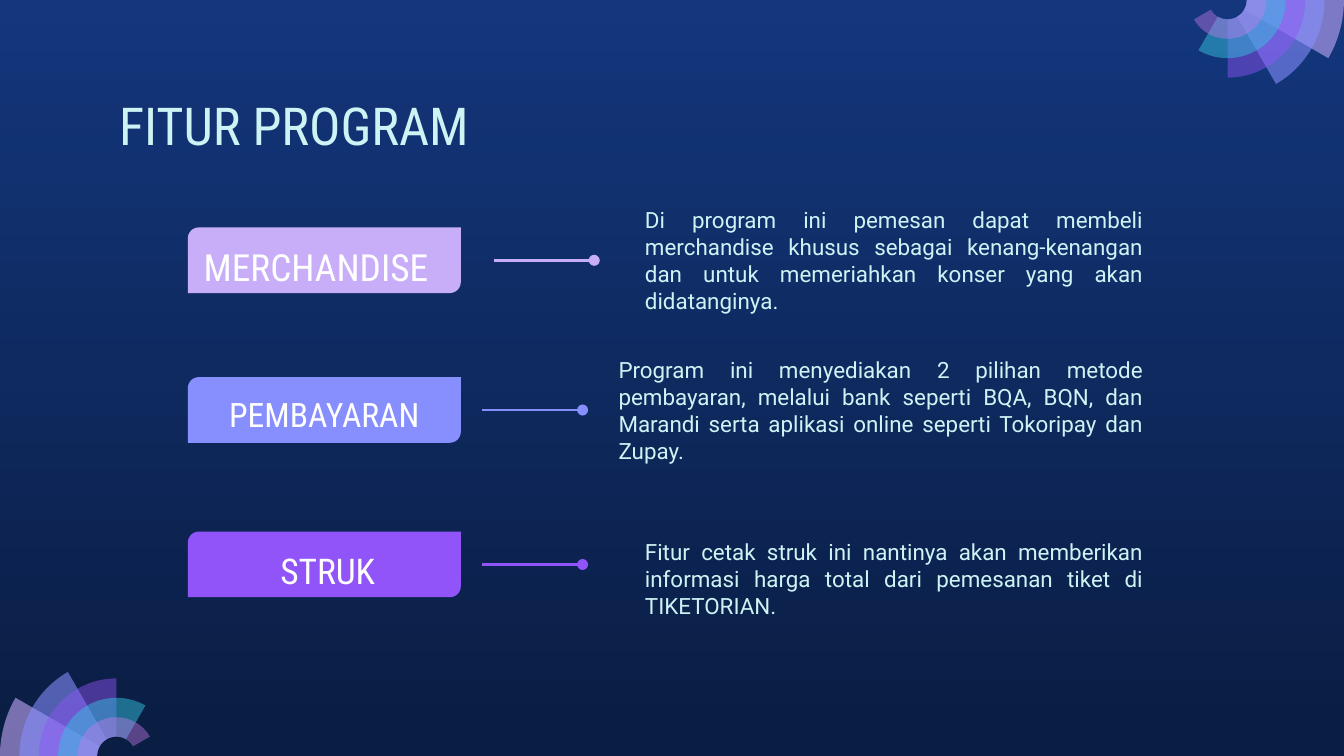
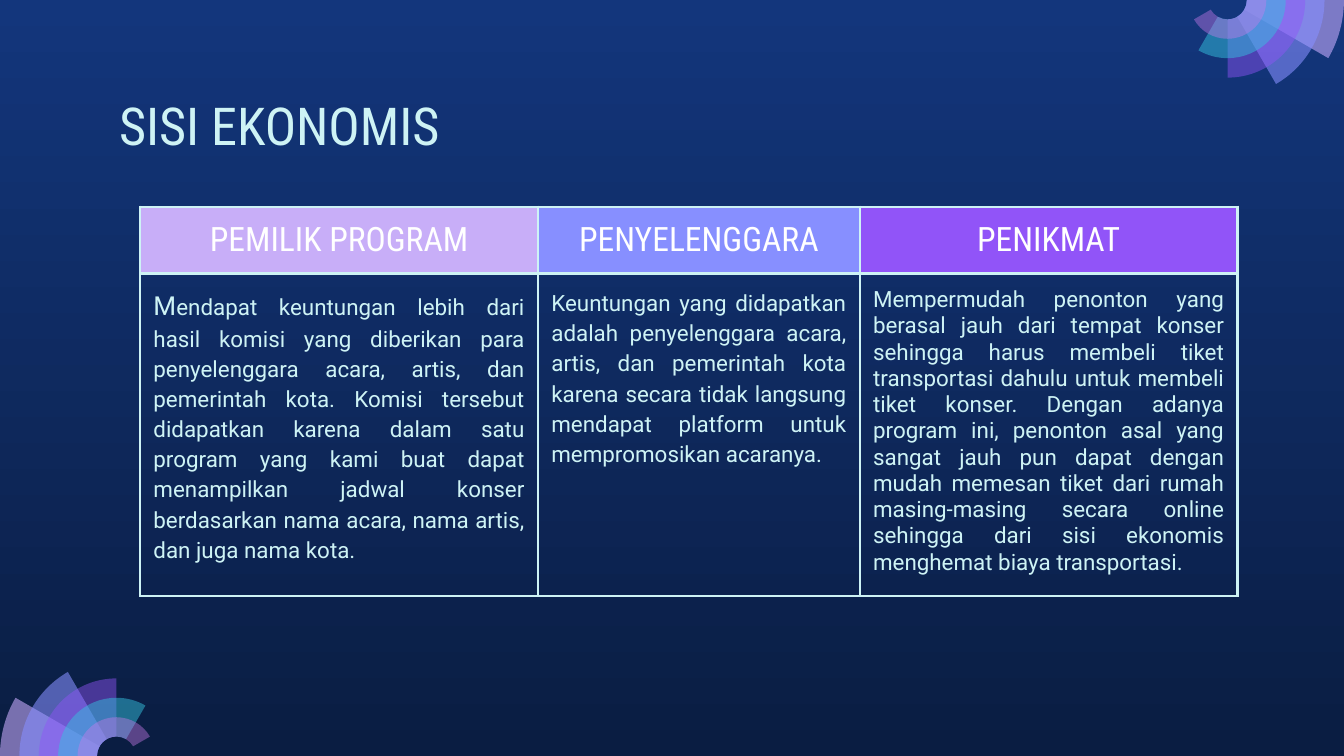
import math
from dataclasses import dataclass

import pptx
import pptx.dml.color
import pptx.enum.shapes
import pptx.enum.text
import pptx.oxml
import pptx.oxml.ns
import pptx.util

Cm = pptx.util.Cm
Pt = pptx.util.Pt
ALIGN = pptx.enum.text.PP_ALIGN


@dataclass(frozen=True)
class Theme:
    sky_top: str = "13367C"
    sky_bottom: str = "0A1D42"
    ice: str = "CEF3F5"
    white: str = "FFFFFF"
    lilac: str = "C8AEF8"
    periwinkle: str = "878FFF"
    violet: str = "9154F8"
    head_font: str = "Roboto Condensed"
    body_font: str = "Roboto"
    title_size: int = 28
    head_size: int = 18
    body_size: int = 12
    line_width: float = 1.5


THEME = Theme()

# Content
FEATURES_TITLE = "FITUR PROGRAM"
FEATURES = [
    {"name": "MERCHANDISE", "size": 20, "color": THEME.lilac, "top": 4.3,
     "label": (3.55, 4.85), "line_left": 9.33, "body_top": 4.1, "indent": 0.75,
     "text": "Di program ini pemesan dapat membeli merchandise khusus sebagai "
             "kenang-kenangan dan untuk memeriahkan konser yang akan didatanginya."},
    {"name": "PEMBAYARAN", "size": 18, "color": THEME.periwinkle, "top": 7.13,
     "label": (3.55, 5.16), "line_left": 9.11, "body_top": 6.94, "indent": 0.25,
     "text": "Program ini menyediakan 2 pilihan metode pembayaran, melalui bank "
             "seperti BQA, BQN, dan Marandi serta aplikasi online seperti "
             "Tokoripay dan Zupay."},
    {"name": "STRUK", "size": 19, "color": THEME.violet, "top": 10.05,
     "label": (4, 4.39), "line_left": 9.11, "body_top": 10.12, "indent": 0.75,
     "text": "Fitur cetak struk ini nantinya akan memberikan informasi harga "
             "total dari pemesanan tiket di TIKETORIAN."},
]

ECONOMY_TITLE = "SISI EKONOMIS"
# Each body is a list of (text, size) runs
ECONOMY = [
    {"head": "PEMILIK PROGRAM", "color": THEME.lilac, "width": 7.52, "spacing": 1.15,
     "body": [("M", 14),
              ("endapat keuntungan lebih dari hasil komisi yang diberikan para "
               "penyelenggara acara, artis, dan pemerintah kota. Komisi tersebut "
               "didapatkan karena dalam satu program yang kami buat dapat "
               "menampilkan jadwal konser berdasarkan nama acara, nama artis, "
               "dan juga nama kota.", THEME.body_size)]},
    {"head": "PENYELENGGARA", "color": THEME.periwinkle, "width": 6.08, "spacing": 1.15,
     "body": [("Keuntungan yang didapatkan adalah penyelenggara acara, artis, dan "
               "pemerintah kota karena secara tidak langsung mendapat platform "
               "untuk mempromosikan acaranya.", THEME.body_size)]},
    {"head": "PENIKMAT", "color": THEME.violet, "width": 7.14, "spacing": None,
     "body": [("Mempermudah penonton yang berasal jauh dari tempat konser sehingga "
               "harus membeli tiket transportasi dahulu untuk membeli tiket konser. "
               "Dengan adanya program ini, penonton asal yang sangat jauh pun dapat "
               "dengan mudah memesan tiket dari rumah masing-masing secara online "
               "sehingga dari sisi ekonomis menghemat biaya transportasi.",
               THEME.body_size)]},
]

# Layout in centimetres
PAGE_WIDTH, PAGE_HEIGHT = 25.4, 14.29
PADDING = 0.25
TAB_LEFT, TAB_WIDTH, TAB_HEIGHT = 3.55, 5.16, 1.24
LABEL_HEIGHT = 1.09
LINE_LENGTH = 1.9
BODY_LEFT, BODY_WIDTH, BODY_HEIGHT = 11.44, 10.92, 1.63
BODY_RIGHT_INDENT = 0.75
TABLE_LEFT, TABLE_TOP = 2.65, 3.91
ROW_HEIGHTS = (1.24, 5.95)

# Corner fans: petals as (colour, opacity in percent), outermost first
PETALS = [("C8ACFD", 58), ("878FFF", 58), ("9154F8", 46), ("35C2DF", 49), ("CA7BEB", 42)]
FAN_RADIUS = 2.2
PETAL_SWEEP = 30
# Fan centre and start angle in degrees
FANS = [(FAN_RADIUS, PAGE_HEIGHT, 180), (PAGE_WIDTH - FAN_RADIUS, 0, 0)]


def rgb(color):
    return pptx.dml.color.RGBColor.from_string(color)


def make_xml(tag, content="", **attributes):
    listed = "".join(f' {key}="{value}"' for key, value in attributes.items())
    return pptx.oxml.parse_xml(
        f'<a:{tag} {pptx.oxml.ns.nsdecls("a")}{listed}>{content}</a:{tag}>')


def add_spans(para, runs, font, color):
    for text, size in runs:
        span = para.add_run()
        span.text = text
        span.font.name = font
        span.font.size = Pt(size)
        span.font.color.rgb = rgb(color)


def set_padding(target, left=PADDING, right=PADDING):
    target.margin_left, target.margin_right = Cm(left), Cm(right)
    target.margin_top = target.margin_bottom = Cm(PADDING)


def add_text(page, place, text, size, font, color, align=ALIGN.LEFT,
             left=PADDING, right=PADDING):
    box = page.shapes.add_textbox(*map(Cm, place))
    frame = box.text_frame
    frame.word_wrap = True
    set_padding(frame, left, right)
    para = frame.paragraphs[0]
    para.alignment = align
    add_spans(para, [(text, size)], font, color)
    return frame


def fill_plain(shape, color):
    shape.shadow.inherit = False
    shape.fill.solid()
    shape.fill.fore_color.rgb = rgb(color)
    shape.line.fill.background()


# Shared page parts
def arc_curves(center, radius, stops):
    """Bezier curves (two handles and an end) through the angles in stops."""
    def point(angle, pull=0):
        cos, sin = math.cos(angle), math.sin(angle)
        return (Cm(center[0] + radius * (cos - pull * sin)),
                Cm(center[1] + radius * (sin + pull * cos)))

    angles = [math.radians(stop) for stop in stops]
    curves = []
    for begin, end in zip(angles, angles[1:]):
        pull = 4 / 3 * math.tan((end - begin) / 4)
        curves.append((point(begin, pull), point(end, -pull), point(end)))
    return point(angles[0]), curves


def add_petal(group, center, inner, outer, stops, color, opacity):
    first, outer_curves = arc_curves(center, outer, stops)
    turn, inner_curves = arc_curves(center, inner, stops[::-1])
    edges = [*outer_curves, (turn,), *inner_curves]
    builder = group.shapes.build_freeform(*first)
    builder.add_line_segments([edge[-1] for edge in edges], close=True)
    petal = builder.convert_to_shape()
    fill_plain(petal, color)

    # Bend the arc edges; the radial edges stay straight
    properties = petal._element.spPr
    for segment, edge in zip(properties.xpath(".//a:lnTo"), edges):
        if len(edge) == 3:
            points = "".join(f'<a:pt x="{x - petal.left}" y="{y - petal.top}"/>'
                             for x, y in edge)
            segment.getparent().replace(segment, make_xml("cubicBezTo", points))
    tint = properties.xpath("./a:solidFill/a:srgbClr")[0]
    tint.append(make_xml("alpha", val=opacity * 1000))


def add_fan(page, center_x, center_y, start):
    group = page.shapes.add_group_shape()
    step = FAN_RADIUS / (len(PETALS) + 1)
    for index, (color, opacity) in enumerate(PETALS):
        sweep = PETAL_SWEEP * (index + 1)
        stops = [start + angle for angle in (*range(0, sweep, 90), sweep)]
        add_petal(group, (center_x, center_y), step, FAN_RADIUS - step * index,
                  stops, color, opacity)


def add_page(deck, title):
    page = deck.slides.add_slide(deck.slide_layouts[6])
    fill = page.background.fill
    fill.gradient()
    fill.gradient_angle = 270
    for position, (stop, color) in enumerate(
            zip(fill.gradient_stops, (THEME.sky_top, THEME.sky_bottom))):
        stop.position = position
        stop.color.rgb = rgb(color)
    for fan in FANS:
        add_fan(page, *fan)
    add_text(page, (2, 1.51, 21.41, 1.6), title, THEME.title_size,
             THEME.head_font, THEME.ice)
    return page


# Feature rows
def add_feature(page, feature):
    top, color = feature["top"], feature["color"]
    tab = page.shapes.add_shape(
        pptx.enum.shapes.MSO_SHAPE.ROUND_2_DIAG_RECTANGLE,
        Cm(TAB_LEFT), Cm(top), Cm(TAB_WIDTH), Cm(TAB_HEIGHT))
    fill_plain(tab, color)

    label_left, label_width = feature["label"]
    label_top = top + (TAB_HEIGHT - LABEL_HEIGHT) / 2
    label = add_text(page, (label_left, label_top, label_width, LABEL_HEIGHT),
                     feature["name"], feature["size"], THEME.head_font,
                     THEME.white, ALIGN.CENTER)
    label.paragraphs[0].space_after = Pt(16)

    body = add_text(page, (BODY_LEFT, feature["body_top"], BODY_WIDTH, BODY_HEIGHT),
                    feature["text"], THEME.body_size, THEME.body_font, THEME.ice,
                    ALIGN.JUSTIFY, feature["indent"], BODY_RIGHT_INDENT)
    body.vertical_anchor = pptx.enum.text.MSO_ANCHOR.MIDDLE

    left, middle = feature["line_left"], top + TAB_HEIGHT / 2
    pointer = page.shapes.add_connector(
        pptx.enum.shapes.MSO_CONNECTOR.STRAIGHT,
        Cm(left), Cm(middle), Cm(left + LINE_LENGTH), Cm(middle))
    pointer.line.color.rgb = rgb(color)
    pointer.line.width = Pt(THEME.line_width)
    pointer.line._get_or_add_ln().append(make_xml("tailEnd", type="oval"))
    pointer._element.spPr.append(make_xml("effectLst"))


# Economy table
def add_borders(cell):
    properties = cell._tc.get_or_add_tcPr()
    for side in ("lnL", "lnR", "lnT", "lnB"):
        properties.append(make_xml(
            side, f'<a:solidFill><a:srgbClr val="{THEME.ice}"/></a:solidFill>',
            w=Pt(THEME.line_width)))


def write_cell(cell, runs, font, color, align, spacing=None):
    set_padding(cell)
    add_borders(cell)
    para = cell.text_frame.paragraphs[0]
    para.alignment = align
    para.line_spacing = spacing
    add_spans(para, runs, font, color)


def add_economy_table(page):
    width = sum(column["width"] for column in ECONOMY)
    table = page.shapes.add_table(
        len(ROW_HEIGHTS), len(ECONOMY), Cm(TABLE_LEFT), Cm(TABLE_TOP),
        Cm(width), Cm(sum(ROW_HEIGHTS))).table
    table.first_row = table.horz_banding = False
    for row, height in zip(table.rows, ROW_HEIGHTS):
        row.height = Cm(height)
    for index, column in enumerate(ECONOMY):
        table.columns[index].width = Cm(column["width"])
        head, body = table.cell(0, index), table.cell(1, index)
        write_cell(head, [(column["head"], THEME.head_size)], THEME.head_font,
                   THEME.white, ALIGN.CENTER)
        head.fill.solid()
        head.fill.fore_color.rgb = rgb(column["color"])
        write_cell(body, column["body"], THEME.body_font, THEME.ice,
                   ALIGN.JUSTIFY, column["spacing"])
        body.fill.background()


def main():
    deck = pptx.Presentation()
    deck.slide_width, deck.slide_height = Cm(PAGE_WIDTH), Cm(PAGE_HEIGHT)

    features_page = add_page(deck, FEATURES_TITLE)
    for feature in FEATURES:
        add_feature(features_page, feature)

    add_economy_table(add_page(deck, ECONOMY_TITLE))
    deck.save("out.pptx")


if __name__ == "__main__":
    main()
